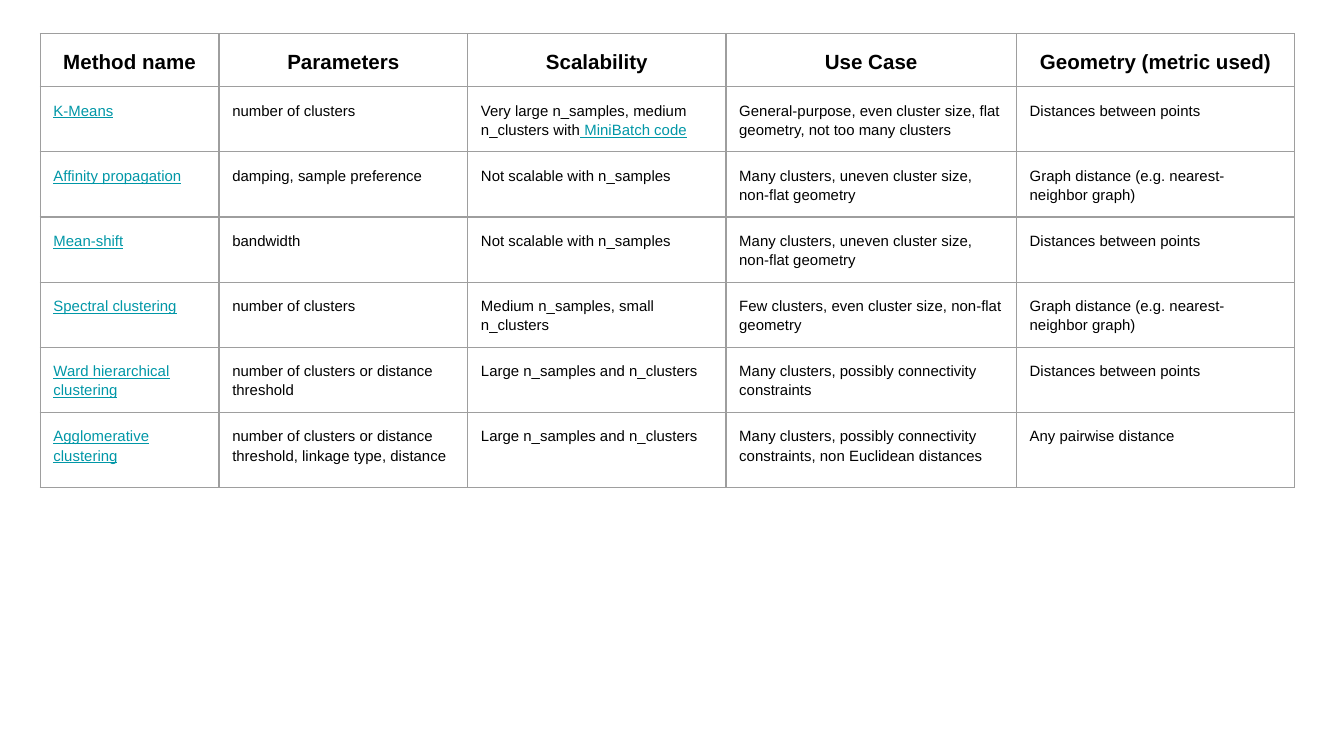
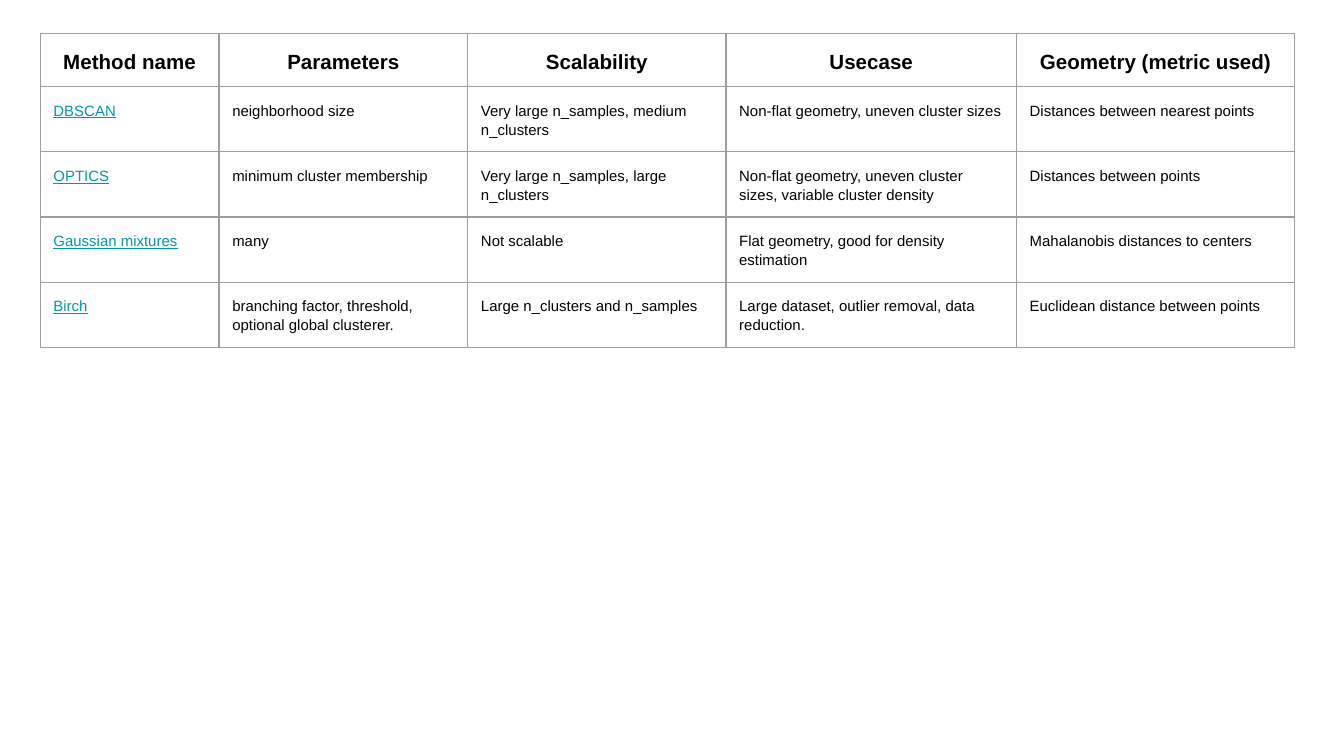
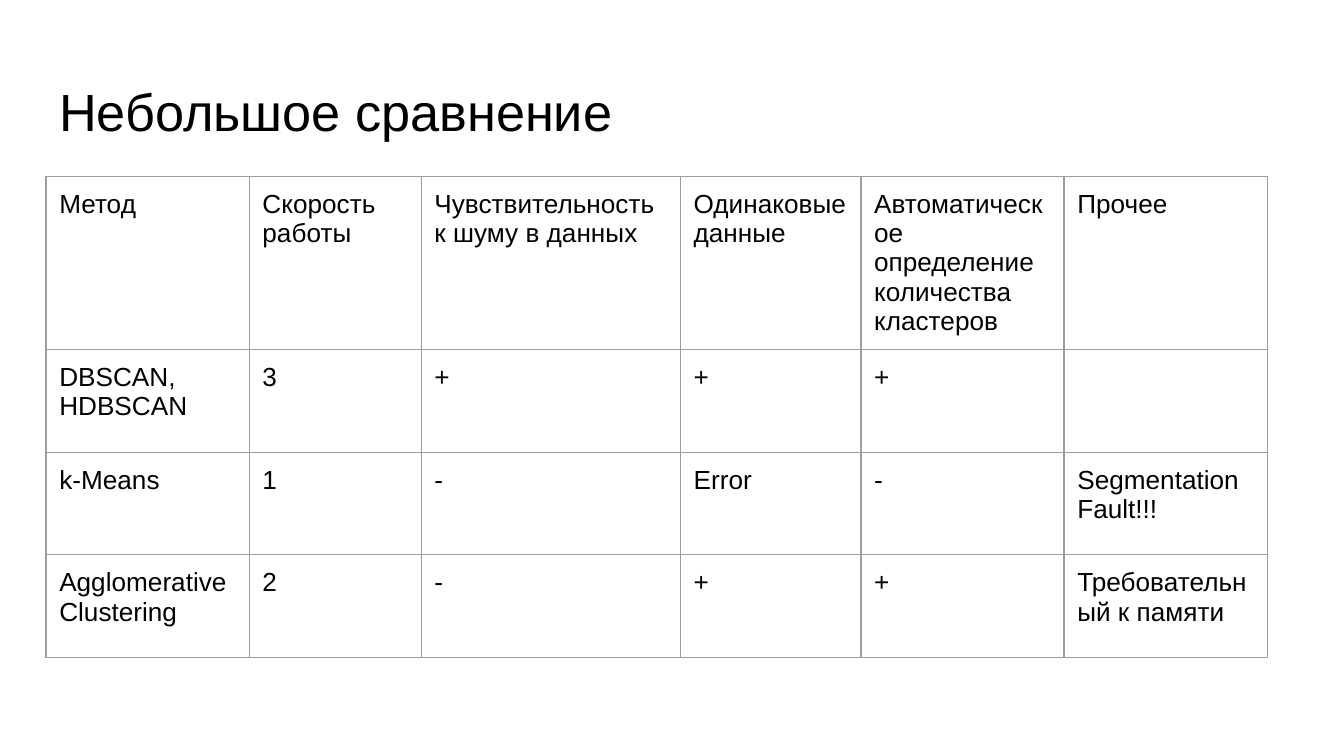
from dataclasses import dataclass

from lxml.etree import SubElement
from pptx import Presentation
from pptx.dml.color import RGBColor
from pptx.enum.text import MSO_ANCHOR, PP_ALIGN
from pptx.oxml.ns import qn
from pptx.util import Cm, Pt


@dataclass(frozen=True)
class Theme:
    font: str = "Arial"
    text: RGBColor = RGBColor(0x00, 0x00, 0x00)
    link: RGBColor = RGBColor(0x00, 0x97, 0xA7)
    border: RGBColor = RGBColor(0x9E, 0x9E, 0x9E)
    border_width: Pt = Pt(0.75)
    title_size: Pt = Pt(28)
    comparison_size: Pt = Pt(14)
    header_size: Pt = Pt(11)
    method_size: Pt = Pt(8)
    line_spacing: float = 1.15
    space_after: Pt = Pt(16)
    inset: Cm = Cm(0.25)


THEME = Theme()
TITLE_ONLY_LAYOUT, BLANK_LAYOUT = 5, 6

# A cell given as a pair holds plain text followed by link-styled text.
METHOD_PAGES = [
    [
        ("Method name", "Parameters", "Scalability", "Use Case", "Geometry (metric used)"),
        ("K-Means", "number of clusters",
         ("Very large n_samples, medium n_clusters with", " MiniBatch code"),
         "General-purpose, even cluster size, flat geometry, not too many clusters",
         "Distances between points"),
        ("Affinity propagation", "damping, sample preference", "Not scalable with n_samples",
         "Many clusters, uneven cluster size, non-flat geometry",
         "Graph distance (e.g. nearest-neighbor graph)"),
        ("Mean-shift", "bandwidth", "Not scalable with n_samples",
         "Many clusters, uneven cluster size, non-flat geometry",
         "Distances between points"),
        ("Spectral clustering", "number of clusters", "Medium n_samples, small n_clusters",
         "Few clusters, even cluster size, non-flat geometry",
         "Graph distance (e.g. nearest-neighbor graph)"),
        ("Ward hierarchical clustering", "number of clusters or distance threshold",
         "Large n_samples and n_clusters", "Many clusters, possibly connectivity constraints",
         "Distances between points"),
        ("Agglomerative clustering",
         "number of clusters or distance threshold, linkage type, distance",
         "Large n_samples and n_clusters",
         "Many clusters, possibly connectivity constraints, non Euclidean distances",
         "Any pairwise distance"),
    ],
    [
        ("Method name", "Parameters", "Scalability", "Usecase", "Geometry (metric used)"),
        ("DBSCAN", "neighborhood size", "Very large n_samples, medium n_clusters",
         "Non-flat geometry, uneven cluster sizes", "Distances between nearest points"),
        ("OPTICS", "minimum cluster membership", "Very large n_samples, large n_clusters",
         "Non-flat geometry, uneven cluster sizes, variable cluster density",
         "Distances between points"),
        ("Gaussian mixtures", "many", "Not scalable",
         "Flat geometry, good for density estimation", "Mahalanobis distances to centers"),
        ("Birch", "branching factor, threshold, optional global clusterer.",
         "Large n_clusters and n_samples", "Large dataset, outlier removal, data reduction.",
         "Euclidean distance between points"),
    ],
]
METHOD_COLUMNS = (3.38, 4.7, 4.88, 5.49, 5.26)
METHOD_HEADER_HEIGHT, METHOD_ROW_HEIGHT = 1.0, 1.18
METHOD_LAST_HEIGHTS = (1.42, METHOD_ROW_HEIGHT)

COMPARISON_TITLE = "Небольшое сравнение"
COMPARISON = [
    ("Метод", "Скорость работы", "Чувствительность к шуму в данных", "Одинаковые данные",
     "Автоматическое определение количества кластеров", "Прочее"),
    ("DBSCAN,\nHDBSCAN", "3", "+", "+", "+", ""),
    ("k-Means", "1", "-", "Error", "-", "Segmentation\vFault!!!"),
    ("Agglomerative\vClustering", "2", "-", "+", "+", "Требовательный к памяти"),
]
COMPARISON_COLUMNS = (3.84, 3.25, 4.9, 3.41, 3.84, 3.84)
COMPARISON_ROW_HEIGHT = 1.94


def style_font(font, size, bold=False):
    font.name = THEME.font
    font.size = size
    font.bold = bold
    font.color.rgb = THEME.text


def add_borders(cell):
    properties = cell._tc.get_or_add_tcPr()
    for side in ("lnL", "lnR", "lnT", "lnB"):
        line = SubElement(properties, qn(f"a:{side}"), w=str(THEME.border_width))
        fill = SubElement(line, qn("a:solidFill"))
        SubElement(fill, qn("a:srgbClr"), val=str(THEME.border))


def add_grid(slide, left, top, column_widths, row_heights):
    """Add a plain bordered table, with sizes in centimetres."""
    table = slide.shapes.add_table(
        len(row_heights), len(column_widths), Cm(left), Cm(top),
        Cm(sum(column_widths)), Cm(sum(row_heights))).table
    table.first_row = table.horz_banding = False
    for column, width in zip(table.columns, column_widths):
        column.width = Cm(width)
    for row, height in zip(table.rows, row_heights):
        row.height = Cm(height)
    for cell in table.iter_cells():
        add_borders(cell)
        cell.fill.background()
        cell.margin_left = cell.margin_right = THEME.inset
        cell.margin_top = cell.margin_bottom = THEME.inset
    return table


def fill_method_cell(cell, content, is_header, is_method):
    paragraph = cell.text_frame.paragraphs[0]
    paragraph.line_spacing = THEME.line_spacing
    if is_header:
        paragraph.alignment = PP_ALIGN.CENTER
        style_font(paragraph.font, THEME.header_size, bold=True)
    else:
        paragraph.space_after = THEME.space_after
        style_font(paragraph.font, THEME.method_size)

    if isinstance(content, tuple):
        plain, link = content
    elif is_method and not is_header:
        plain, link = "", content
    else:
        plain, link = content, ""
    if plain:
        paragraph.add_run().text = plain
    if link:
        run = paragraph.add_run()
        run.text = link
        run.font.underline = True
        run.font.color.rgb = THEME.link


def add_method_slide(presentation, rows, last_height):
    slide = presentation.slides.add_slide(presentation.slide_layouts[BLANK_LAYOUT])
    heights = [METHOD_HEADER_HEIGHT, *[METHOD_ROW_HEIGHT] * (len(rows) - 2), last_height]
    table = add_grid(slide, 0.76, 0.64, METHOD_COLUMNS, heights)
    for row_index, row in enumerate(rows):
        for column_index, content in enumerate(row):
            fill_method_cell(table.cell(row_index, column_index), content,
                             is_header=row_index == 0, is_method=column_index == 0)


def add_comparison_slide(presentation):
    slide = presentation.slides.add_slide(presentation.slide_layouts[TITLE_ONLY_LAYOUT])
    title = slide.shapes.title
    title.left, title.top, title.width, title.height = Cm(0.87), Cm(1.24), Cm(23.67), Cm(1.6)
    frame = title.text_frame
    frame.text = COMPARISON_TITLE
    frame.vertical_anchor = MSO_ANCHOR.TOP
    frame.margin_left = frame.margin_right = THEME.inset
    frame.margin_top = frame.margin_bottom = THEME.inset
    frame.paragraphs[0].alignment = PP_ALIGN.LEFT
    style_font(frame.paragraphs[0].font, THEME.title_size)

    table = add_grid(slide, 0.87, 3.33, COMPARISON_COLUMNS,
                     [COMPARISON_ROW_HEIGHT] * len(COMPARISON))
    for row_index, row in enumerate(COMPARISON):
        for column_index, content in enumerate(row):
            cell = table.cell(row_index, column_index)
            cell.text = content
            for paragraph in cell.text_frame.paragraphs:
                style_font(paragraph.font, THEME.comparison_size)


def main():
    presentation = Presentation()
    presentation.slide_width, presentation.slide_height = Cm(25.4), Cm(14.29)
    for rows, last_height in zip(METHOD_PAGES, METHOD_LAST_HEIGHTS):
        add_method_slide(presentation, rows, last_height)
    add_comparison_slide(presentation)
    presentation.save("out.pptx")


if __name__ == "__main__":
    main()
